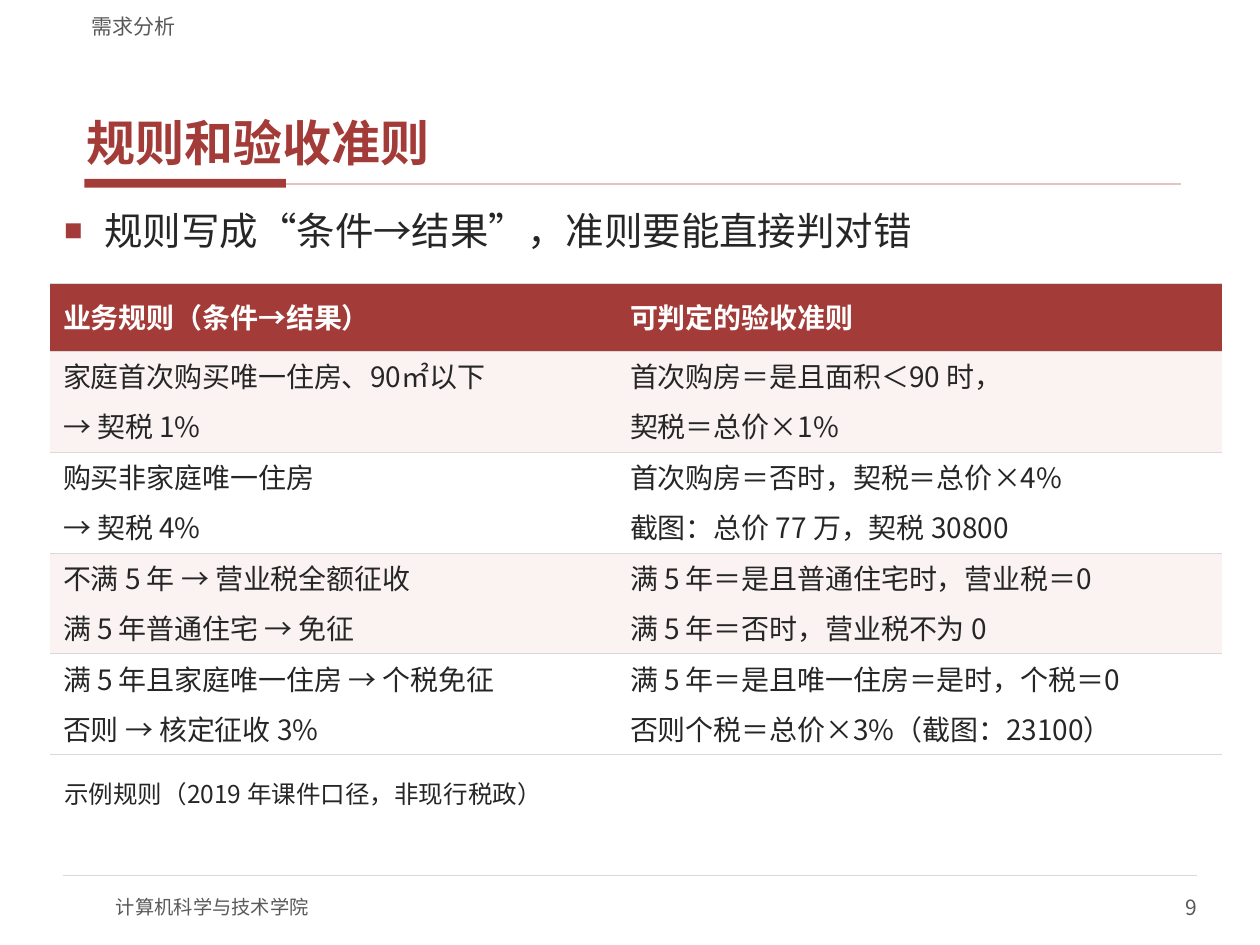
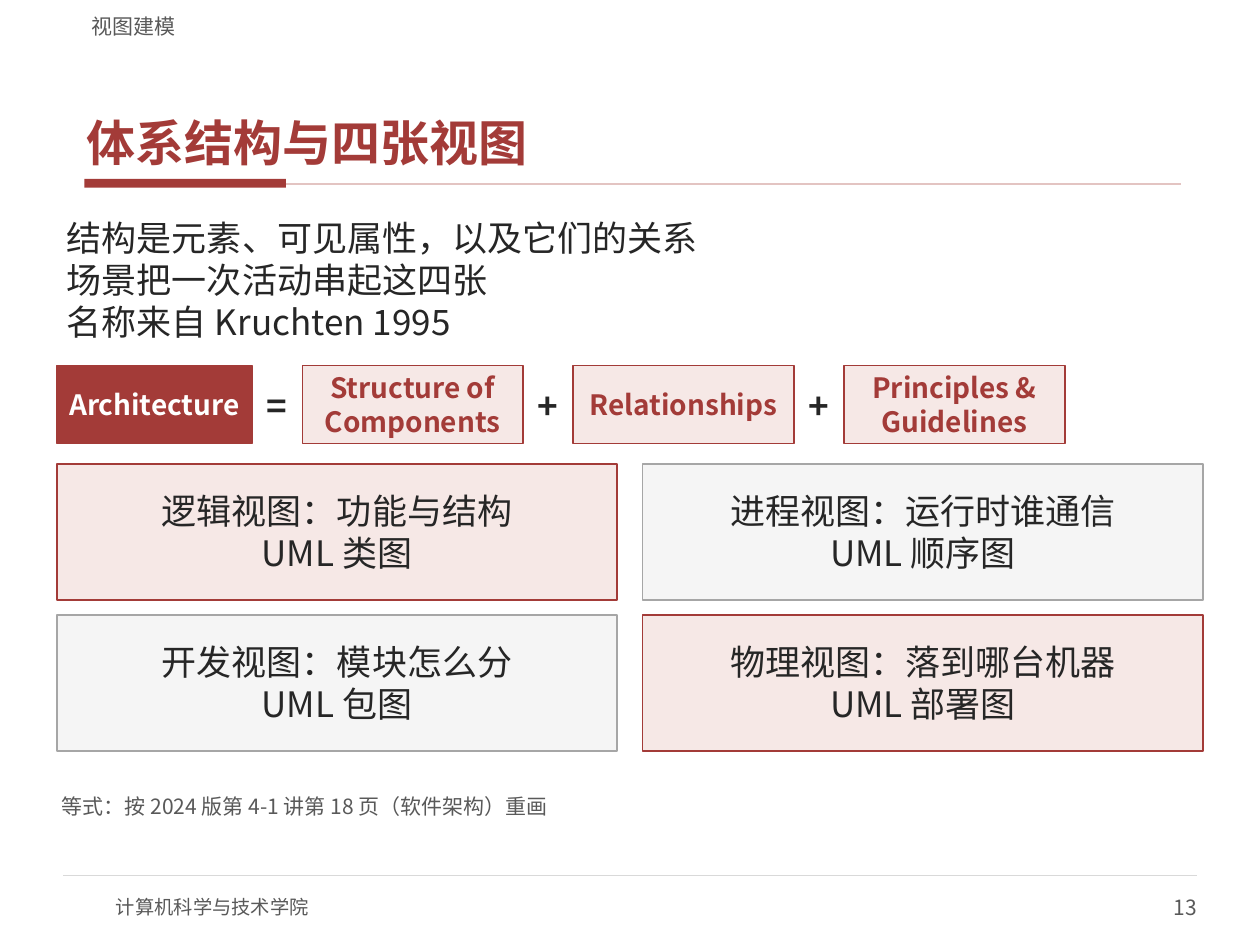
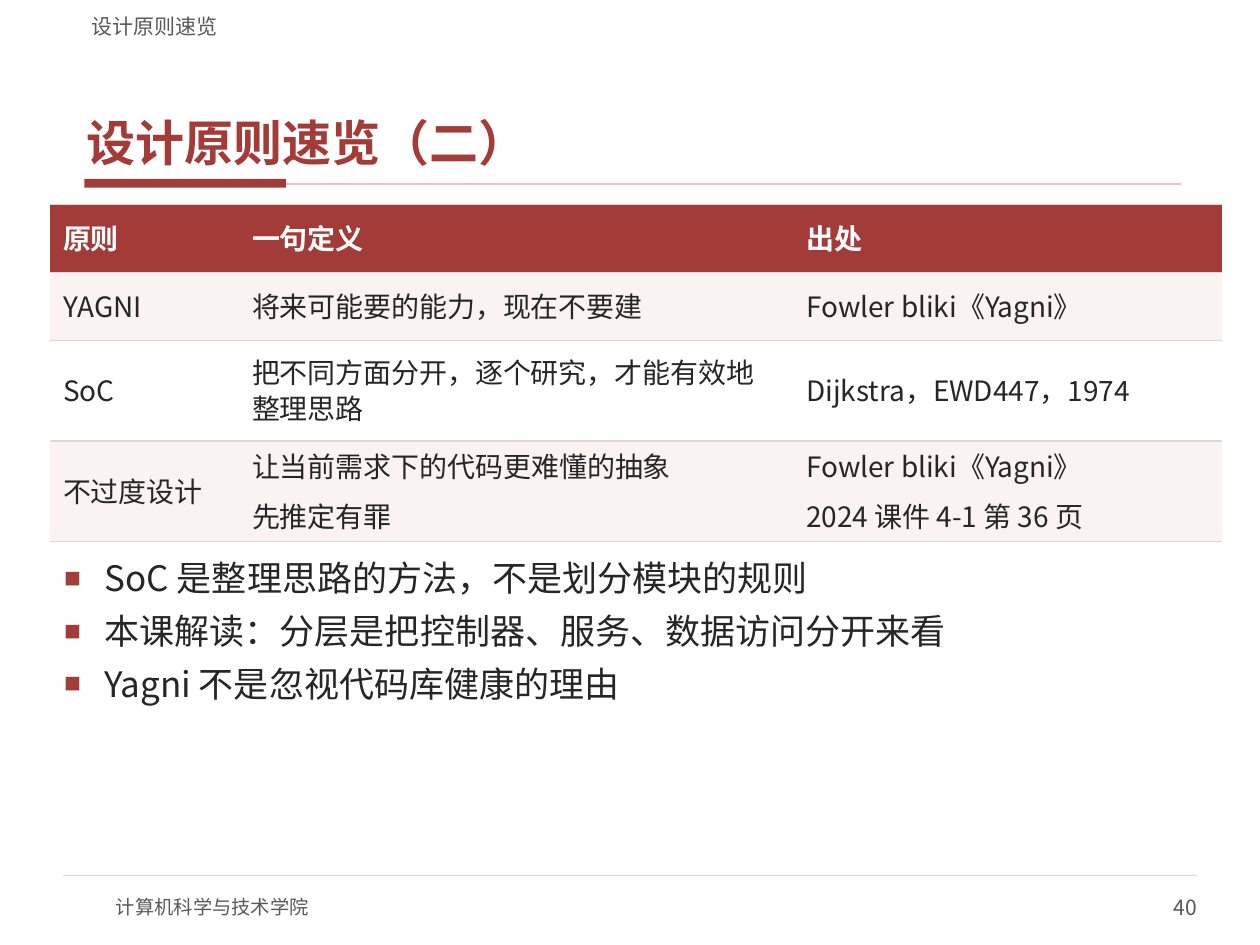
import dataclasses

import lxml.etree
import pptx
import pptx.dml.color
import pptx.enum.shapes
import pptx.enum.text
import pptx.oxml.ns
import pptx.util

FONT = "Noto Sans CJK SC"
RED, PALE_RED, ROW_TINT, RULE_RED = "A33B38", "F6E8E6", "FBF3F2", "E3C4C2"
INK, GRAY, EDGE_GRAY, RULE_GRAY, PALE_GRAY, WHITE = (
    "262626", "595959", "A6A6A6", "D9D9D9", "F5F5F5", "FFFFFF")

UNIT = pptx.util.Inches(0.1)  # one grid cell; the slide is 100 columns by 75 rows
LEFT, CENTER, RIGHT = (pptx.enum.text.PP_ALIGN.LEFT, pptx.enum.text.PP_ALIGN.CENTER,
                       pptx.enum.text.PP_ALIGN.RIGHT)
TOP, MIDDLE, BOTTOM = (pptx.enum.text.MSO_ANCHOR.TOP, pptx.enum.text.MSO_ANCHOR.MIDDLE,
                       pptx.enum.text.MSO_ANCHOR.BOTTOM)


@dataclasses.dataclass
class Box:
    """A region measured in grid columns and rows."""
    left: float
    top: float
    width: float
    height: float

    def area(self, left, top, width, height):
        return Box(self.left + left, self.top + top, width, height)

    def lengths(self):
        return [round(value * UNIT) for value in dataclasses.astuple(self)]


@dataclasses.dataclass
class Style:
    size: float
    color: str = INK
    bold: bool = False
    align: object = LEFT
    before: float = 0
    after: float = 0
    spacing: float = 1.0
    bullet: bool = False


PAGE = Box(0, 0, 100, 75)
CONTENT = Box(4.5, 16.2, 91, 50)
TITLE = Style(28, RED, bold=True, after=2)
CELL = Style(16, before=6, after=2, spacing=0.9)
HEADER_CELL = dataclasses.replace(CELL, color=WHITE, bold=True)
TIGHT, SNUG, ROOMY = (0.6, 0.2), (0.2, 0.1), (0.8, 0.4)


def rgb(color):
    return pptx.dml.color.RGBColor.from_string(color)


def add_element(parent, tag, **attributes):
    return lxml.etree.SubElement(parent, pptx.oxml.ns.qn(tag), **attributes)


def set_bullet(para, bulleted):
    properties = para._p.get_or_add_pPr()
    indent = pptx.util.Inches(0.32) if bulleted else 0
    properties.set("marL", str(indent))
    properties.set("indent", str(-indent))
    if not bulleted:
        add_element(properties, "a:buNone")
        return
    add_element(add_element(properties, "a:buClr"), "a:srgbClr", val=RED)
    add_element(properties, "a:buSzPct", val="80000")
    add_element(properties, "a:buChar", char="■")


def write(frame, lines, style):
    for index, line in enumerate(lines):
        para = frame.paragraphs[0] if index == 0 else frame.add_paragraph()
        para.text = line
        set_bullet(para, style.bullet)
        para.alignment = style.align
        para.line_spacing = style.spacing
        para.space_before = pptx.util.Pt(style.before if index else 0)
        para.space_after = pptx.util.Pt(style.after)
        font = para.font
        font.size, font.bold, font.name = pptx.util.Pt(style.size), style.bold, FONT
        font.color.rgb = rgb(style.color)
        defaults = para._p.pPr.find(pptx.oxml.ns.qn("a:defRPr"))
        add_element(defaults, "a:ea", typeface=FONT)


def fill_frame(shape, lines, style, insets=(0, 0), anchor=TOP):
    frame = shape.text_frame
    frame.word_wrap = True
    frame.auto_size = pptx.enum.text.MSO_AUTO_SIZE.NONE
    frame.vertical_anchor = anchor
    across, down = (round(inset * UNIT) for inset in insets)
    frame.margin_left = frame.margin_right = across
    frame.margin_top = frame.margin_bottom = down
    write(frame, lines, style)


def add_text(page, box, text, style, insets=(0, 0), anchor=TOP):
    fill_frame(page.shapes.add_textbox(*box.lengths()), [text], style, insets, anchor)


def add_panel(page, box, fill, edge=None):
    panel = page.shapes.add_shape(pptx.enum.shapes.MSO_SHAPE.RECTANGLE, *box.lengths())
    panel.shadow.inherit = False
    panel.fill.solid()
    panel.fill.fore_color.rgb = rgb(fill)
    if edge:
        panel.line.color.rgb = rgb(edge)
        panel.line.width = pptx.util.Pt(1)
    else:
        panel.line.fill.background()
    return panel


def add_rule(page, left, right, row, color, points):
    start, end, height = (round(value * UNIT) for value in (left, right, row))
    rule = page.shapes.add_connector(
        pptx.enum.shapes.MSO_CONNECTOR.STRAIGHT, start, height, end, height)
    rule.line.color.rgb = rgb(color)
    rule.line.width = pptx.util.Pt(points)
    add_element(rule._element.spPr, "a:effectLst")


def fill_placeholder(placeholder, box, lines, style, insets, anchor=TOP):
    placeholder.left, placeholder.top, placeholder.width, placeholder.height = box.lengths()
    fill_frame(placeholder, lines, style, insets, anchor)


def add_page(deck, section, title, number):
    """Add a slide with its running head, title, rules and footer."""
    page = deck.slides.add_slide(deck.slide_layouts.get_by_name("Title and Content"))
    add_panel(page, PAGE.area(6.7, 14.2, 16, 0.7), RED)
    add_rule(page, 22.7, 93.7, 14.6, RULE_RED, 1)
    add_rule(page, 5, 95, 69.5, RULE_GRAY, 0.75)
    add_text(page, PAGE.area(9.2, 70, 40, 4), "计算机科学与技术学院", Style(11, GRAY), anchor=MIDDLE)
    add_text(page, PAGE.area(75, 70, 20, 4), str(number),
             Style(12, GRAY, align=RIGHT), anchor=MIDDLE)
    add_text(page, PAGE.area(6.3, 0.4, 87.5, 2.7), section, Style(12, GRAY), (1, 0), BOTTOM)
    fill_placeholder(page.shapes.title, PAGE.area(6.3, 3.3, 87.5, 10.5), [title],
                     TITLE, TIGHT, BOTTOM)
    return page


def add_list(page, box, lines, size):
    fill_placeholder(page.placeholders[1], box, lines,
                     Style(size, before=4, after=2, bullet=True), TIGHT)


def set_borders(cell):
    """Draw hairlines above and below the cell, none at its sides."""
    properties = cell._tc.get_or_add_tcPr()
    for side in ("a:lnL", "a:lnR"):
        add_element(add_element(properties, side, w="0"), "a:noFill")
    for side in ("a:lnT", "a:lnB"):
        line = add_element(properties, side, w=str(pptx.util.Pt(0.75)))
        add_element(add_element(line, "a:solidFill"), "a:srgbClr", val=RULE_GRAY)


def add_ruled_table(page, left, top, widths, heights, rows):
    box = Box(left, top, sum(widths), sum(heights))
    table = page.shapes.add_table(len(rows), len(widths), *box.lengths()).table
    table.horz_banding = False
    for column, width in zip(table.columns, widths):
        column.width = round(width * UNIT)
    for index, (height, texts) in enumerate(zip(heights, rows)):
        table.rows[index].height = round(height * UNIT)
        fill = RED if index == 0 else ROW_TINT if index % 2 else WHITE
        for cell, text in zip(table.rows[index].cells, texts):
            set_borders(cell)
            cell.fill.solid()
            cell.fill.fore_color.rgb = rgb(fill)
            cell.vertical_anchor = MIDDLE
            write(cell.text_frame, text.split("\n"), CELL if index else HEADER_CELL)


def add_equation(page, box, whole, terms):
    """Set the whole and its terms in a row, with operators in the gaps."""
    gap, whole_width, term_width = 4, 15.5, 17.5
    left = 0
    for index, text in enumerate([whole, *terms]):
        width = term_width if index else whole_width
        fill, color = (PALE_RED, RED) if index else (RED, WHITE)
        panel = add_panel(page, box.area(left, 0, width, box.height), fill, RED)
        fill_frame(panel, [text], Style(16, color, True, CENTER), SNUG, MIDDLE)
        left += width
        if index < len(terms):
            add_text(page, box.area(left + 0.5, 1.2, gap - 1, 4), "+" if index else "=",
                     Style(20, bold=True, align=CENTER), SNUG, MIDDLE)
        left += gap


def add_view_grid(page, box, views):
    """Place the views two by two, with the tint alternating diagonally."""
    column_gap, row_gap = 2, 1.2
    width, height = (box.width - column_gap) / 2, (box.height - row_gap) / 2
    for index, text in enumerate(views):
        row, column = divmod(index, 2)
        fill, edge = (PALE_RED, RED) if row == column else (PALE_GRAY, EDGE_GRAY)
        place = box.area(column * (width + column_gap), row * (height + row_gap), width, height)
        fill_frame(add_panel(page, place, fill, edge), [text],
                   Style(20, align=CENTER), ROOMY, MIDDLE)


def build_rules_page(deck):
    page = add_page(deck, "需求分析", "规则和验收准则", 9)
    add_list(page, CONTENT.area(0, 0, CONTENT.width, 5.5),
             ["规则写成“条件→结果”，准则要能直接判对错"], 22)
    add_ruled_table(page, 4, 22.5, [45, 48], [5.4] + [8] * 4, [
        ("业务规则（条件→结果）", "可判定的验收准则"),
        ("家庭首次购买唯一住房、90㎡以下\n→ 契税 1%", "首次购房＝是且面积＜90 时，\n契税＝总价×1%"),
        ("购买非家庭唯一住房\n→ 契税 4%", "首次购房＝否时，契税＝总价×4%\n截图：总价 77 万，契税 30800"),
        ("不满 5 年 → 营业税全额征收\n满 5 年普通住宅 → 免征",
         "满 5 年＝是且普通住宅时，营业税＝0\n满 5 年＝否时，营业税不为 0"),
        ("满 5 年且家庭唯一住房 → 个税免征\n否则 → 核定征收 3%",
         "满 5 年＝是且唯一住房＝是时，个税＝0\n否则个税＝总价×3%（截图：23100）"),
    ])
    add_text(page, CONTENT.area(0, 45.4, CONTENT.width, 3),
             "示例规则（2019 年课件口径，非现行税政）", Style(14, after=2), TIGHT)


def build_views_page(deck):
    page = add_page(deck, "视图建模", "体系结构与四张视图", 13)
    fill_placeholder(page.placeholders[1], CONTENT.area(0, 0.6, CONTENT.width, 11.5),
                     ["结构是元素、可见属性，以及它们的关系", "场景把一次活动串起这四张",
                      "名称来自 Kruchten 1995"], Style(20), ROOMY)
    add_equation(page, CONTENT.area(0, 12.8, CONTENT.width, 6.2), "Architecture",
                 ["Structure of\vComponents", "Relationships", "Principles &\vGuidelines"])
    add_view_grid(page, CONTENT.area(0, 20.6, CONTENT.width, 22.8), [
        "逻辑视图：功能与结构\vUML 类图", "进程视图：运行时谁通信\vUML 顺序图",
        "开发视图：模块怎么分\vUML 包图", "物理视图：落到哪台机器\vUML 部署图"])
    add_text(page, CONTENT.area(0, 46.8, CONTENT.width, 2.2),
             "等式：按 2024 版第 4-1 讲第 18 页（软件架构）重画", Style(12, GRAY), (0.4, 0.2), BOTTOM)


def build_principles_page(deck):
    page = add_page(deck, "设计原则速览", "设计原则速览（二）", 40)
    add_ruled_table(page, 4, 16.2, [15, 44, 34], [5.4, 5.4, 8, 8], [
        ("原则", "一句定义", "出处"),
        ("YAGNI", "将来可能要的能力，现在不要建", "Fowler bliki《Yagni》"),
        ("SoC", "把不同方面分开，逐个研究，才能有效地整理思路", "Dijkstra，EWD447，1974"),
        ("不过度设计", "让当前需求下的代码更难懂的抽象\n先推定有罪",
         "Fowler bliki《Yagni》\n2024 课件 4-1 第 36 页"),
    ])
    add_list(page, CONTENT.area(0, 27.8, CONTENT.width, 14),
             ["SoC 是整理思路的方法，不是划分模块的规则",
              "本课解读：分层是把控制器、服务、数据访问分开来看",
              "Yagni 不是忽视代码库健康的理由"], 20)


def main():
    deck = pptx.Presentation()
    deck.slide_width, deck.slide_height = PAGE.lengths()[2:]
    build_rules_page(deck)
    build_views_page(deck)
    build_principles_page(deck)
    deck.save("out.pptx")


if __name__ == "__main__":
    main()
